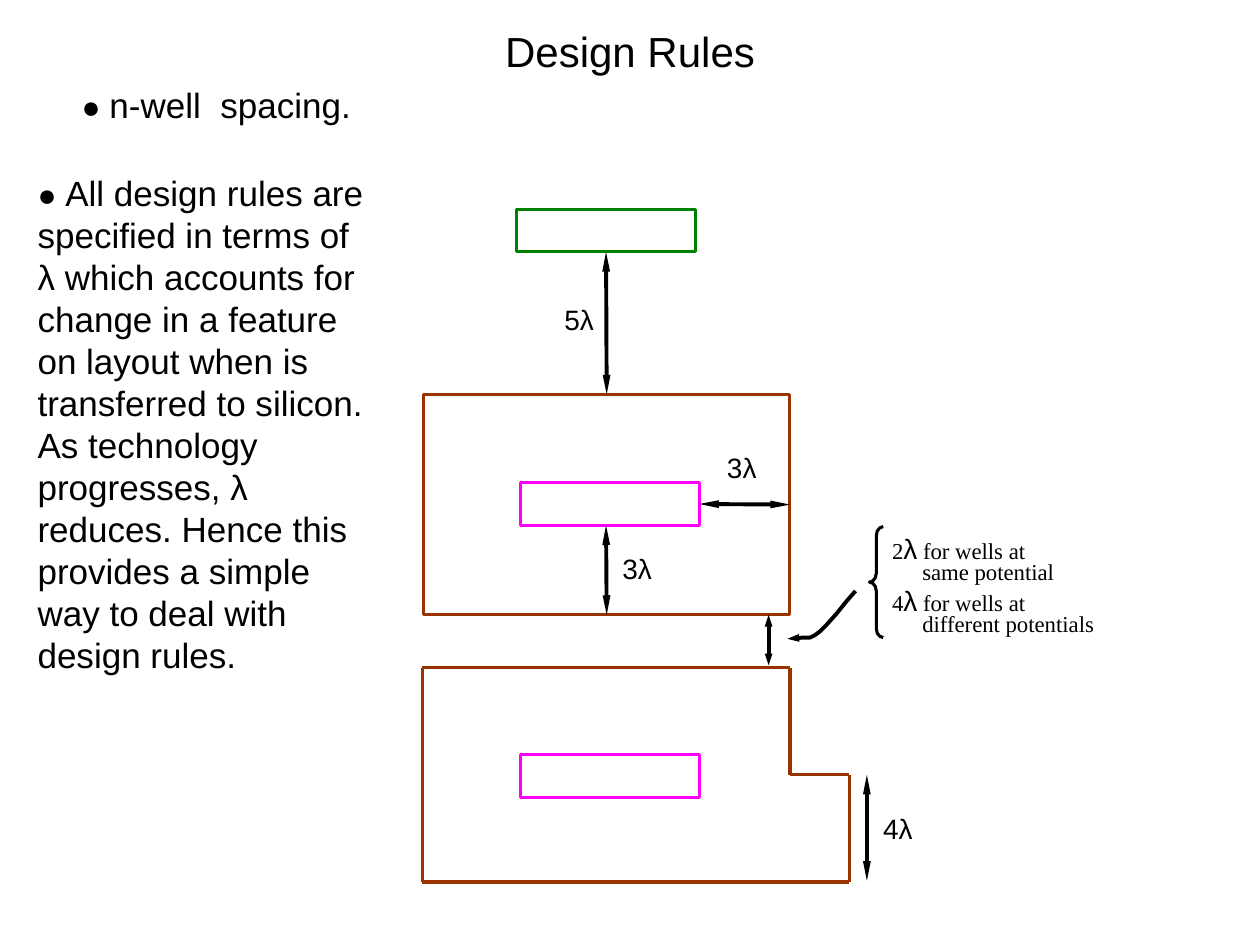
from itertools import pairwise

from pptx import Presentation
from pptx.dml.color import RGBColor
from pptx.enum.shapes import MSO_CONNECTOR, MSO_SHAPE
from pptx.enum.text import MSO_ANCHOR, PP_ALIGN
from pptx.oxml.ns import qn
from pptx.util import Inches, Pt
from lxml import etree

BLACK = RGBColor(0x00, 0x00, 0x00)
WHITE = RGBColor(0xFF, 0xFF, 0xFF)
GREEN = RGBColor(0x00, 0x80, 0x00)
MAGENTA = RGBColor(0xFF, 0x00, 0xFF)
BROWN = RGBColor(0x99, 0x33, 0x00)


def add_text(x, y, w, h, runs, margins=True):
    tf = slide.shapes.add_textbox(Inches(x), Inches(y), Inches(w), Inches(h)).text_frame
    tf.word_wrap = True
    if not margins:
        tf.margin_left = tf.margin_right = tf.margin_top = tf.margin_bottom = 0
    p = tf.paragraphs[0]
    p.font.color.rgb = BLACK
    for text, font, size in runs:
        r = p.add_run()
        r.text = text
        r.font.name = font
        r.font.size = Pt(size)


def add_arrowheads(sp, ends, length="lg"):
    sp.line.color.rgb = BLACK
    sp.line.width = Pt(2.25)
    ln = sp._element.spPr.find(qn("a:ln"))
    for end in ends:
        etree.SubElement(ln, qn(f"a:{end}"), type="triangle", w="sm", len=length)


prs = Presentation()
prs.slide_width = Inches(10)
prs.slide_height = Inches(7.5)
slide = prs.slides.add_slide(prs.slide_layouts[5])

title = slide.shapes.title
title.left, title.top = Inches(0.36), Inches(0.15)
title.width, title.height = Inches(9.28), Inches(0.5)
tf = title.text_frame
tf.text = "Design Rules"
tf.vertical_anchor = MSO_ANCHOR.TOP
p = tf.paragraphs[0]
p.alignment = PP_ALIGN.CENTER
p.font.name = "Arial"
p.font.size = Pt(24)
p.font.color.rgb = BLACK

rule = (
    "All design rules are specified in terms of λ which accounts for change in a "
    "feature on layout when is transferred to silicon. As technology progresses, "
    "λ reduces. Hence this provides a simple way to deal with design rules."
)
for x, y, w, h, text in [
    (0.55, 0.61, 8.72, 0.44, "n-well  spacing."),
    (0.2, 1.31, 2.83, 4.1, rule),
]:
    add_text(x, y, w, h, [("● ", "Arial", 18), (text, "Arial", 20)])

rects = []
for x, y, w, h, color in [
    (4.1, 1.66, 1.42, 0.34, GREEN),
    (3.36, 3.13, 2.91, 1.75, BROWN),
    (4.13, 3.83, 1.42, 0.34, MAGENTA),
    (4.13, 5.99, 1.42, 0.34, MAGENTA),
]:
    sp = slide.shapes.add_shape(
        MSO_SHAPE.RECTANGLE, Inches(x), Inches(y), Inches(w), Inches(h))
    sp.shadow.inherit = False
    if color == MAGENTA:
        sp.fill.solid()
        sp.fill.fore_color.rgb = WHITE
    else:
        sp.fill.background()
    sp.line.color.rgb = color
    sp.line.width = Pt(1.75)
    rects.append(sp)
active, well, diffusion, lower_diffusion = rects

lower_well = [(3.35, 5.3), (6.27, 5.3), (6.27, 6.15), (6.74, 6.15),
              (6.74, 7), (3.35, 7), (3.35, 5.3)]
for (x1, y1), (x2, y2) in pairwise(lower_well):
    edge = slide.shapes.add_connector(
        MSO_CONNECTOR.STRAIGHT, Inches(x1), Inches(y1), Inches(x2), Inches(y2))
    edge.line.color.rgb = BROWN
    edge.line.width = Pt(1.75)
    etree.SubElement(edge._element.spPr, qn("a:effectLst"))

for x1, y1, x2, y2, length, begin, end in [
    (4.81, 2, 4.81, 3.13, "lg", (active, 2), (well, 0)),
    (5.55, 4, 6.27, 4, "lg", (diffusion, 3), (well, 3)),
    (4.81, 4.17, 4.81, 4.88, "lg", None, (well, 2)),
    (6.1, 4.88, 6.1, 5.28, "med", None, None),
    (6.88, 6.15, 6.88, 6.99, "lg", None, None),
]:
    arrow = slide.shapes.add_connector(
        MSO_CONNECTOR.STRAIGHT, Inches(x1), Inches(y1), Inches(x2), Inches(y2))
    if begin:
        arrow.begin_connect(*begin)
    if end:
        arrow.end_connect(*end)
    add_arrowheads(arrow, ["headEnd", "tailEnd"], length)
    etree.SubElement(arrow._element.spPr, qn("a:effectLst"))

for x, y, text in [
    (4.48, 2.4, "5λ"),
    (5.77, 3.58, "3λ"),
    (4.94, 4.38, "3λ"),
    (7.01, 6.44, "4λ"),
]:
    add_text(x, y, 0.33, 0.3, [(text, "Arial", 16)], margins=False)

brace = slide.shapes.add_shape(
    MSO_SHAPE.LEFT_BRACE, Inches(6.9), Inches(4.18), Inches(0.11), Inches(0.88))
brace.adjustments[0] = 0.64
brace.shadow.inherit = False
brace.fill.background()
brace.line.color.rgb = BLACK
brace.line.width = Pt(1.75)

curve = [(6.79, 4.69), (6.72, 4.77), (6.64, 4.87), (6.55, 4.97), (6.51, 5.01),
         (6.47, 5.04), (6.43, 5.06), (6.38, 5.06), (6.25, 5.07)]
points = [(Inches(x), Inches(y)) for x, y in curve]
fb = slide.shapes.build_freeform(*points[0])
fb.add_line_segments(points[1:], close=False)
pointer = fb.convert_to_shape()
pointer.shadow.inherit = False
pointer.fill.background()
add_arrowheads(pointer, ["tailEnd"], "med")

for y, number, potential in [
    (4.22, "2", "same potential"),
    (4.63, "4", "different potentials"),
]:
    add_text(7.08, y, 1.06, 0.27, [
        (number, "Times New Roman", 13),
        ("λ", "Arial", 16),
        (" for wells at", "Times New Roman", 13),
    ], margins=False)
    add_text(7.32, y + 0.21, 1.4, 0.22,
             [(potential, "Times New Roman", 13)], margins=False)

prs.save("out.pptx")
